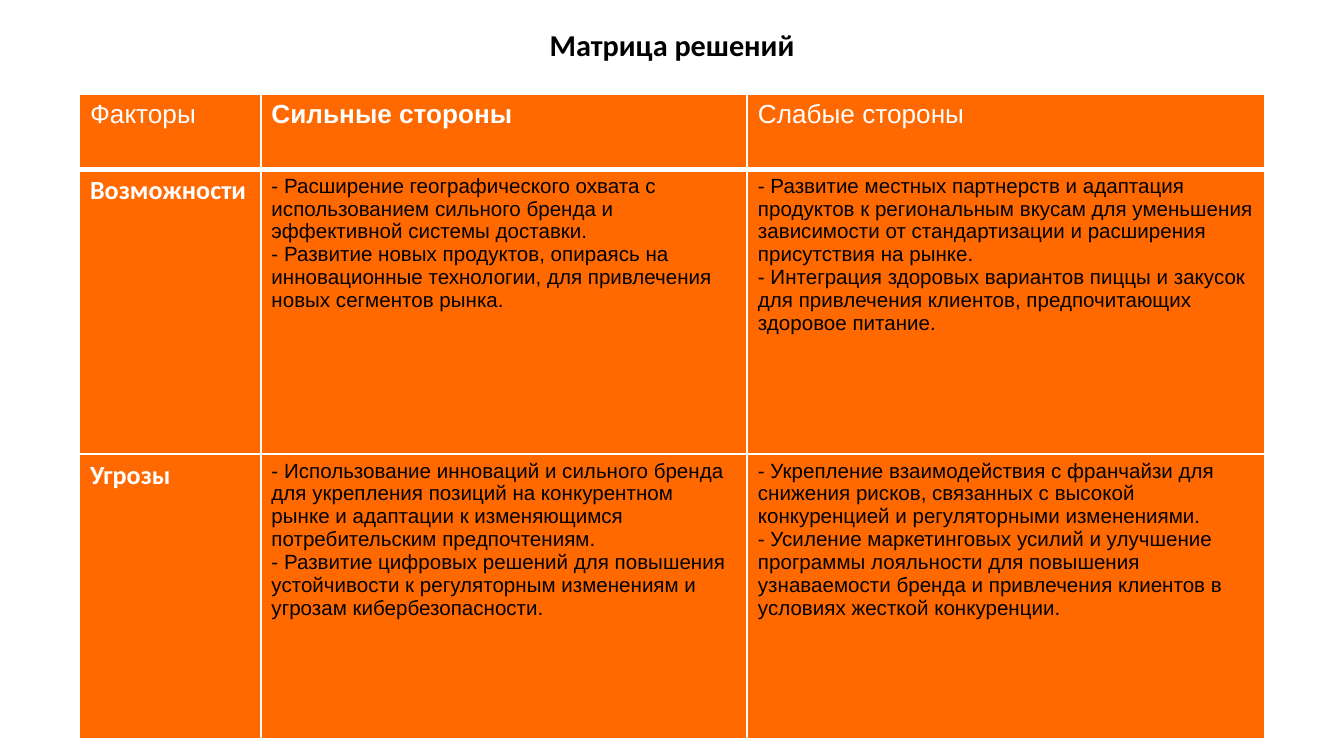
from dataclasses import dataclass

from lxml.etree import SubElement
from pptx import Presentation
from pptx.dml.color import RGBColor
from pptx.enum.text import MSO_ANCHOR as Anchor, PP_ALIGN as Align
from pptx.oxml.ns import qn
from pptx.table import _Cell as Cell
from pptx.text.text import TextFrame
from pptx.util import Inches, Pt

COLORS = {"orange": "FF6900", "white": "FFFFFF", "black": "000000"}
SLIDE_WIDTH = 10
SLIDE_HEIGHT = SLIDE_WIDTH * 9 / 16
COLUMN_WIDTHS = (1.35, 3.62, 3.85)
ROW_HEIGHTS = (0.56, 2.12, 2.12)


@dataclass(frozen=True)
class Entry:
    lines: tuple[str, ...]
    size: float = 11
    font: str = "Arial"
    color: str = "black"
    bold: bool = False


def heading(text: str, font: str = "Arial", bold: bool = False) -> Entry:
    return Entry((text,), 14, font, "white", bold)


MATRIX = (
    (
        heading("Факторы"),
        heading("Сильные стороны", bold=True),
        heading("Слабые стороны"),
    ),
    (
        heading("Возможности", "Calibri", True),
        Entry((
            "- Расширение географического охвата с использованием сильного бренда и эффективной системы доставки.",
            "- Развитие новых продуктов, опираясь на инновационные технологии, для привлечения новых сегментов рынка.",
        )),
        Entry((
            "- Развитие местных партнерств и адаптация продуктов к региональным вкусам для уменьшения зависимости от стандартизации и расширения присутствия на рынке.",
            "- Интеграция здоровых вариантов пиццы и закусок для привлечения клиентов, предпочитающих здоровое питание.",
        )),
    ),
    (
        heading("Угрозы", "Calibri", True),
        Entry((
            "- Использование инноваций и сильного бренда для укрепления позиций на конкурентном рынке и адаптации к изменяющимся потребительским предпочтениям.",
            "- Развитие цифровых решений для повышения устойчивости к регуляторным изменениям и угрозам кибербезопасности.",
        )),
        Entry((
            "- Укрепление взаимодействия с франчайзи для снижения рисков, связанных с высокой конкуренцией и регуляторными изменениями.",
            "- Усиление маркетинговых усилий и улучшение программы лояльности для повышения узнаваемости бренда и привлечения клиентов в условиях жесткой конкуренции.",
        )),
    ),
)


def write_text(frame: TextFrame, lines: tuple[str, ...], *, size: float, font: str,
               color: str, bold: bool, align: Align = Align.LEFT,
               spacing: float = 1.0) -> None:
    frame.word_wrap = True
    for index, line in enumerate(lines):
        paragraph = frame.add_paragraph() if index else frame.paragraphs[0]
        paragraph.alignment = align
        paragraph.line_spacing = spacing
        run = paragraph.add_run()
        run.text = line
        run.font.size = Pt(size)
        run.font.name = font
        run.font.bold = bold
        run.font.color.rgb = RGBColor.from_string(COLORS[color])


def set_borders(cell: Cell, top: float, bottom: float) -> None:
    properties = cell._tc.get_or_add_tcPr()
    for side, width in (("L", 1), ("R", 1), ("T", top), ("B", bottom)):
        line = SubElement(properties, qn(f"a:ln{side}"), w=str(Pt(width)))
        fill = SubElement(line, qn("a:solidFill"))
        SubElement(fill, qn("a:srgbClr"), val=COLORS["white"])


def fill_cell(cell: Cell, entry: Entry, row: int) -> None:
    cell.margin_left = cell.margin_right = Inches(0.08)
    cell.margin_top = cell.margin_bottom = Inches(0.04)
    set_borders(cell, top=3 if row == 1 else 1, bottom=3 if row == 0 else 1)
    cell.fill.solid()
    cell.fill.fore_color.rgb = RGBColor.from_string(COLORS["orange"])
    write_text(cell.text_frame, entry.lines, size=entry.size, font=entry.font,
               color=entry.color, bold=entry.bold)


def main() -> None:
    """Build the decision matrix slide."""
    presentation = Presentation()
    presentation.slide_width = Inches(SLIDE_WIDTH)
    presentation.slide_height = Inches(SLIDE_HEIGHT)
    slide = presentation.slides.add_slide(presentation.slide_layouts[6])

    title = slide.shapes.add_textbox(Inches(0.69), Inches(0.19), Inches(8.62), Inches(0.31))
    frame = title.text_frame
    frame.vertical_anchor = Anchor.MIDDLE
    frame.margin_left = frame.margin_right = Inches(0.07)
    frame.margin_top = frame.margin_bottom = Inches(0.04)
    write_text(frame, ("Матрица решений",), size=16.2, font="Calibri", color="black",
               bold=True, align=Align.CENTER, spacing=0.9)

    table = slide.shapes.add_table(
        len(ROW_HEIGHTS), len(COLUMN_WIDTHS), Inches(0.59), Inches(0.7),
        Inches(sum(COLUMN_WIDTHS)), Inches(sum(ROW_HEIGHTS)),
    ).table
    for column, width in zip(table.columns, COLUMN_WIDTHS):
        column.width = Inches(width)
    for row, height in zip(table.rows, ROW_HEIGHTS):
        row.height = Inches(height)
    for row_index, entries in enumerate(MATRIX):
        for column_index, entry in enumerate(entries):
            fill_cell(table.cell(row_index, column_index), entry, row_index)

    presentation.save("out.pptx")


if __name__ == "__main__":
    main()
